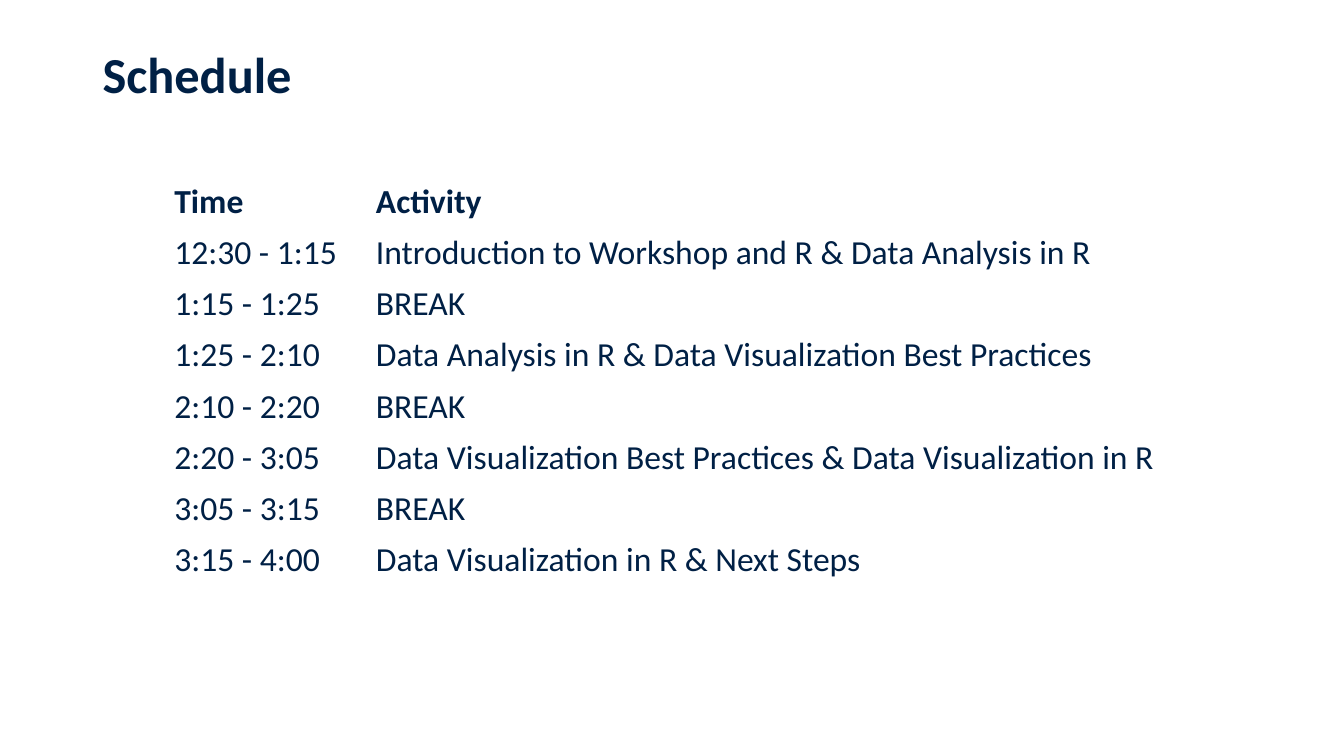
from pptx import Presentation
from pptx import util as u
from pptx.dml import color
from pptx.enum import text

NAVY = "002045"
PLAN = [
    ("Time", "Activity"),
    ("12:30 - 1:15", "Introduction to Workshop and R & Data Analysis in R"),
    ("1:15 - 1:25", "BREAK"),
    ("1:25 - 2:10", "Data Analysis in R & Data Visualization Best Practices"),
    ("2:10 - 2:20", "BREAK"),
    ("2:20 - 3:05", "Data Visualization Best Practices & Data Visualization in R"),
    ("3:05 - 3:15", "BREAK"),
    ("3:15 - 4:00", "Data Visualization in R & Next Steps"),
]
WIDTHS = (5.08, 20.5)
ROW = 1.27


def assign(item, **values):
    """Set each named value on an item."""
    for name, value in values.items():
        setattr(item, name, value)


def tint(target, code):
    """Give a colour format the hex colour."""
    target.rgb = color.RGBColor.from_string(code)


def write(frame, words, size, bold):
    """Write one left-aligned paragraph in a text frame."""
    frame.text = words
    par = frame.paragraphs[0]
    par.alignment = text.PP_ALIGN.LEFT
    font = par.runs[0].font
    assign(font, name="Calibri", size=u.Pt(size), bold=bold)
    tint(font.color, NAVY)
    return par


def head(slide, words):
    """Place and format the slide title."""
    title = slide.shapes.title
    assign(title, left=u.Cm(2.33), top=u.Cm(1.14),
           width=u.Cm(29.21), height=u.Cm(2.95))
    par = write(title.text_frame, words, 36, True)
    par.line_spacing = 0.9
    assign(title.text_frame, vertical_anchor=text.MSO_ANCHOR.TOP,
           word_wrap=True)


def grid(slide, plan):
    """Add the timetable with clear cells and a bold first row."""
    frame = slide.shapes.add_table(
        len(plan), len(WIDTHS), u.Cm(4.14), u.Cm(4.45),
        u.Cm(sum(WIDTHS)), u.Cm(ROW * len(plan)))
    table = frame.table
    assign(table, first_row=False, horz_banding=False)
    for col, width in zip(table.columns, WIDTHS):
        col.width = u.Cm(width)
    for i, entry in enumerate(plan):
        table.rows[i].height = u.Cm(ROW)
        for j, words in enumerate(entry):
            cell = table.cell(i, j)
            cell.fill.background()
            cell.vertical_anchor = text.MSO_ANCHOR.MIDDLE
            write(cell.text_frame, words, 24, i == 0)


def main():
    """Build and save the schedule slide."""
    deck = Presentation()
    assign(deck, slide_width=u.Cm(33.87), slide_height=u.Cm(19.05))
    slide = deck.slides.add_slide(deck.slide_layouts[5])
    fill = slide.background.fill
    fill.solid()
    tint(fill.fore_color, "FFFFFF")
    head(slide, "Schedule")
    grid(slide, PLAN)
    deck.save("out.pptx")


if __name__ == "__main__":
    main()
